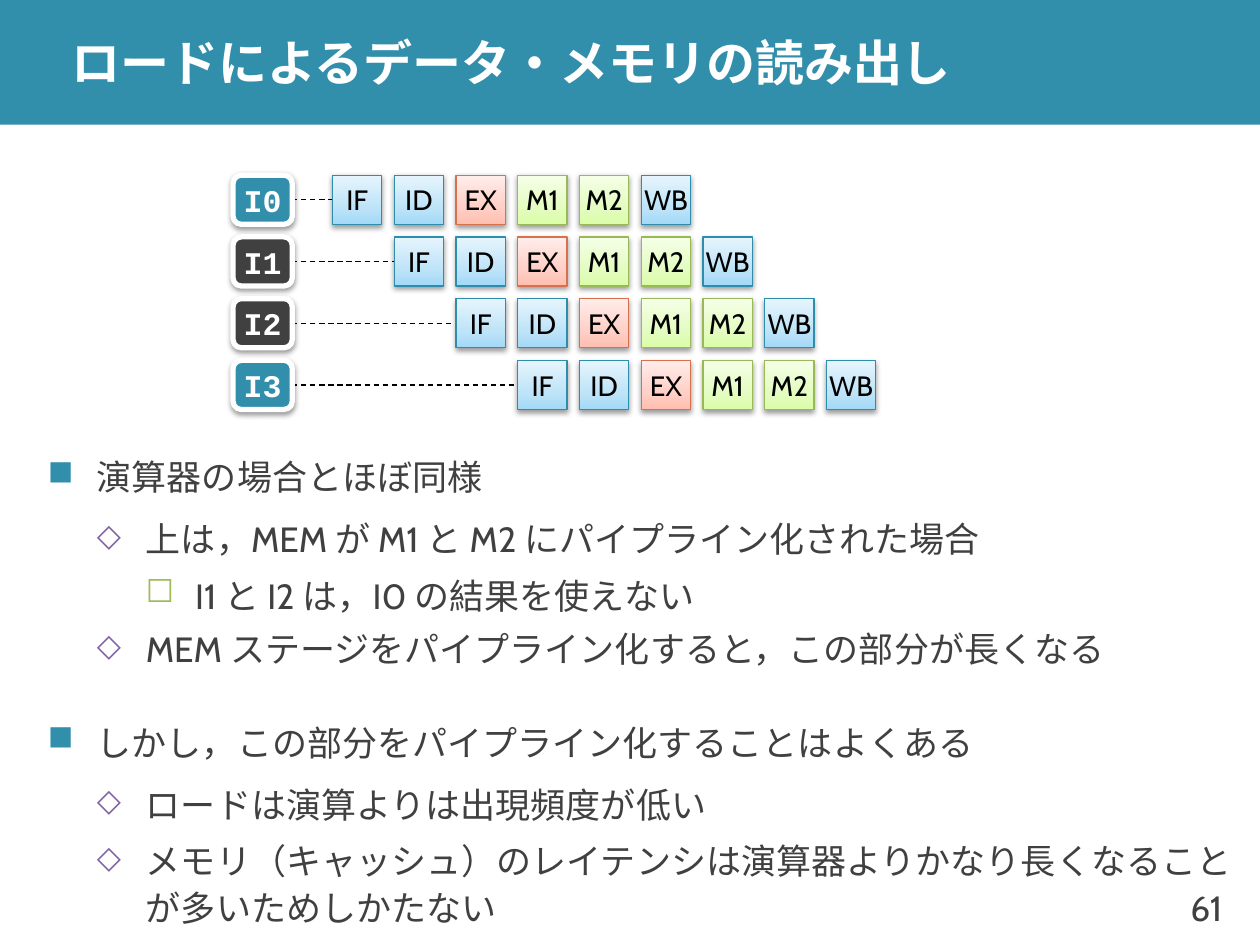
import lxml.etree
import pptx
import pptx.dml.color
import pptx.enum.dml
import pptx.enum.shapes
import pptx.enum.text
import pptx.oxml.ns
import pptx.util

Inches = pptx.util.Inches
Pt = pptx.util.Pt
qn = pptx.oxml.ns.qn
ALIGN = pptx.enum.text.PP_ALIGN
SHAPE = pptx.enum.shapes.MSO_SHAPE

TEAL, DARK, WHITE, BLACK = "328FAC", "404040", "FFFFFF", "000000"
JAPANESE_FONT = "Noto Sans CJK JP"

# Tile styles: gradient from bottom to top, then outline
BLUE = (("A2D9F7", "BFE4F8", "E6F5FD"), "2E8DAB")
RED = (("FFBEB0", "FFD0C7", "FFEDEA"), "D7714D")
GREEN = (("DAFDA7", "E4FCC2", "F5FFE7"), "98B955")
GRADIENT_POSITIONS = (0, 35, 100)

STAGES = [("IF", BLUE), ("ID", BLUE), ("EX", RED),
          ("M1", GREEN), ("M2", GREEN), ("WB", BLUE)]
INSTRUCTIONS = [("I0", TEAL), ("I1", DARK), ("I2", DARK), ("I3", TEAL)]

# Outline levels: bullet, bullet colour, bullet size %, space before, space after
LEVELS = [("■", TEAL, 100, 24, 6),
          ("◇", "8064A2", 90, 3, 3),
          ("☐", "9BBB59", 90, 3, 1)]
OUTLINE = [
    (0, "演算器の場合とほぼ同様"),
    (1, "上は，MEM が M1 と M2 にパイプライン化された場合"),
    (2, "I1 と I2 は，I0 の結果を使えない"),
    (1, "MEM ステージをパイプライン化すると，この部分が長くなる"),
    (0, "しかし，この部分をパイプライン化することはよくある"),
    (1, "ロードは演算よりは出現頻度が低い"),
    (1, "メモリ（キャッシュ）のレイテンシは演算器よりかなり長くなることが多いためしかたない"),
]


def rgb(value):
    return pptx.dml.color.RGBColor.from_string(value)


def set_attributes(target, values):
    for name, value in values.items():
        setattr(target, name, value)


def add_xml(parent, tag, **attributes):
    return lxml.etree.SubElement(parent, qn(tag), attributes)


def write_run(paragraph, text, size, color, font="Cabin", bold=False):
    run = paragraph.add_run()
    run.text = text
    set_attributes(run.font, {"name": font, "size": Pt(size), "bold": bold})
    run.font.color.rgb = rgb(color)
    add_xml(run.font._element, "a:ea", typeface=JAPANESE_FONT)


def prepare_frame(shape, wrap, vertical_inset=0.05):
    frame = shape.text_frame
    set_attributes(frame, {
        "word_wrap": wrap,
        "vertical_anchor": pptx.enum.text.MSO_ANCHOR.MIDDLE,
        "margin_left": Inches(0.1), "margin_right": Inches(0.1),
        "margin_top": Inches(vertical_inset),
        "margin_bottom": Inches(vertical_inset)})
    return frame


def add_box(slide, kind, left, top, width, height, line, line_width):
    shape = slide.shapes.add_shape(
        kind, Inches(left), Inches(top), Inches(width), Inches(height))
    shape.line.color.rgb = rgb(line)
    shape.line.width = Pt(line_width)
    # Soft shadow straight below the box
    shape.shadow.inherit = False
    effects = shape._element.spPr.find(qn("a:effectLst"))
    shadow = add_xml(effects, "a:outerShdw", blurRad=str(Pt(3.1)),
                     dist=str(Pt(1.6)), dir="5400000", rotWithShape="0")
    color = add_xml(shadow, "a:srgbClr", val=BLACK)
    add_xml(color, "a:alpha", val="38000")
    return shape


def fill_gradient(shape, colors):
    shape.fill.gradient()
    gradient = shape._element.spPr.find(qn("a:gradFill"))
    for child in list(gradient):
        gradient.remove(child)
    stops = add_xml(gradient, "a:gsLst")
    for position, color in zip(GRADIENT_POSITIONS, colors):
        stop = add_xml(stops, "a:gs", pos=str(position * 1000))
        add_xml(stop, "a:srgbClr", val=color)
    add_xml(gradient, "a:lin", ang="16200000", scaled="0")


def write_label(shape, text, size, color, **style):
    paragraph = prepare_frame(shape, False).paragraphs[0]
    paragraph.alignment = ALIGN.CENTER
    write_run(paragraph, text, size, color, **style)


def add_dashed_line(slide, start, end, y):
    line = slide.shapes.add_connector(
        pptx.enum.shapes.MSO_CONNECTOR.STRAIGHT,
        Inches(start), Inches(y), Inches(end), Inches(y))
    line.line.color.rgb = rgb(BLACK)
    set_attributes(line.line, {
        "width": Pt(0.75), "dash_style": pptx.enum.dml.MSO_LINE.DASH})
    add_xml(line._element.spPr, "a:effectLst")


def add_title_bar(slide, left, top, width, height, text):
    bar = slide.shapes.add_shape(
        SHAPE.RECTANGLE, Inches(left), Inches(top), Inches(width), Inches(height))
    bar.shadow.inherit = False
    bar.fill.solid()
    bar.fill.fore_color.rgb = rgb(TEAL)
    bar.line.fill.background()
    indent = 0.47
    title = slide.shapes.add_textbox(
        Inches(left + indent), Inches(top), Inches(width - indent), Inches(height))
    paragraph = prepare_frame(title, True, vertical_inset=0).paragraphs[0]
    write_run(paragraph, text, 28, WHITE, font=JAPANESE_FONT, bold=True)


def add_pipeline(slide, left, top):
    tile, pitch, label_width, first_tile = 0.39, 0.49, 0.47, left + 0.79
    for row, (name, color) in enumerate(INSTRUCTIONS):
        y = top + row * pitch
        start = first_tile + row * pitch
        add_dashed_line(slide, left + label_width, start, y + tile / 2)
        # Instruction label
        label = add_box(slide, SHAPE.ROUNDED_RECTANGLE,
                        left, y, label_width, tile, WHITE, 3)
        label.fill.solid()
        label.fill.fore_color.rgb = rgb(color)
        write_label(label, name, 18, WHITE, font="Courier New", bold=True)
        # Stages, one cycle later on each row
        for column, (stage, (colors, outline)) in enumerate(STAGES):
            box = add_box(slide, SHAPE.RECTANGLE, start + column * pitch, y,
                          tile, tile, outline, 0.75)
            fill_gradient(box, colors)
            write_label(box, stage, 16, BLACK)


def add_outline(slide, left, top, width, height):
    box = slide.shapes.add_textbox(
        Inches(left), Inches(top), Inches(width), Inches(height))
    frame = prepare_frame(box, True)
    for index, (level, text) in enumerate(OUTLINE):
        paragraph = frame.add_paragraph() if index else frame.paragraphs[0]
        bullet, color, size, before, after = LEVELS[level]
        properties = paragraph._p.get_or_add_pPr()
        properties.set("marL", str(Inches(0.39 * (level + 1))))
        properties.set("indent", str(Inches(-0.39)))
        add_xml(add_xml(properties, "a:buClr"), "a:srgbClr", val=color)
        add_xml(properties, "a:buSzPct", val=str(size * 1000))
        add_xml(properties, "a:buChar", char=bullet)
        set_attributes(paragraph, {
            "level": level, "line_spacing": 1.1,
            "space_before": Pt(before if index else 0),
            "space_after": Pt(after)})
        write_run(paragraph, text, 20, DARK)


def add_page_number(slide, left, top, width, height, number):
    box = slide.shapes.add_textbox(
        Inches(left), Inches(top), Inches(width), Inches(height))
    paragraph = prepare_frame(box, False).paragraphs[0]
    paragraph.alignment = ALIGN.RIGHT
    write_run(paragraph, number, 20, DARK)


def main():
    presentation = pptx.Presentation()
    presentation.slide_width = Inches(10)
    presentation.slide_height = Inches(7.5)
    slide = presentation.slides.add_slide(presentation.slide_layouts[6])
    add_title_bar(slide, 0, 0, 10, 0.99, "ロードによるデータ・メモリの読み出し")
    add_page_number(slide, 9.13, 6.9, 0.67, 0.6, "61")
    add_outline(slide, 0.28, 3.95, 9.65, 3.05)
    add_pipeline(slide, 1.85, 1.39)
    presentation.save("out.pptx")


if __name__ == "__main__":
    main()
